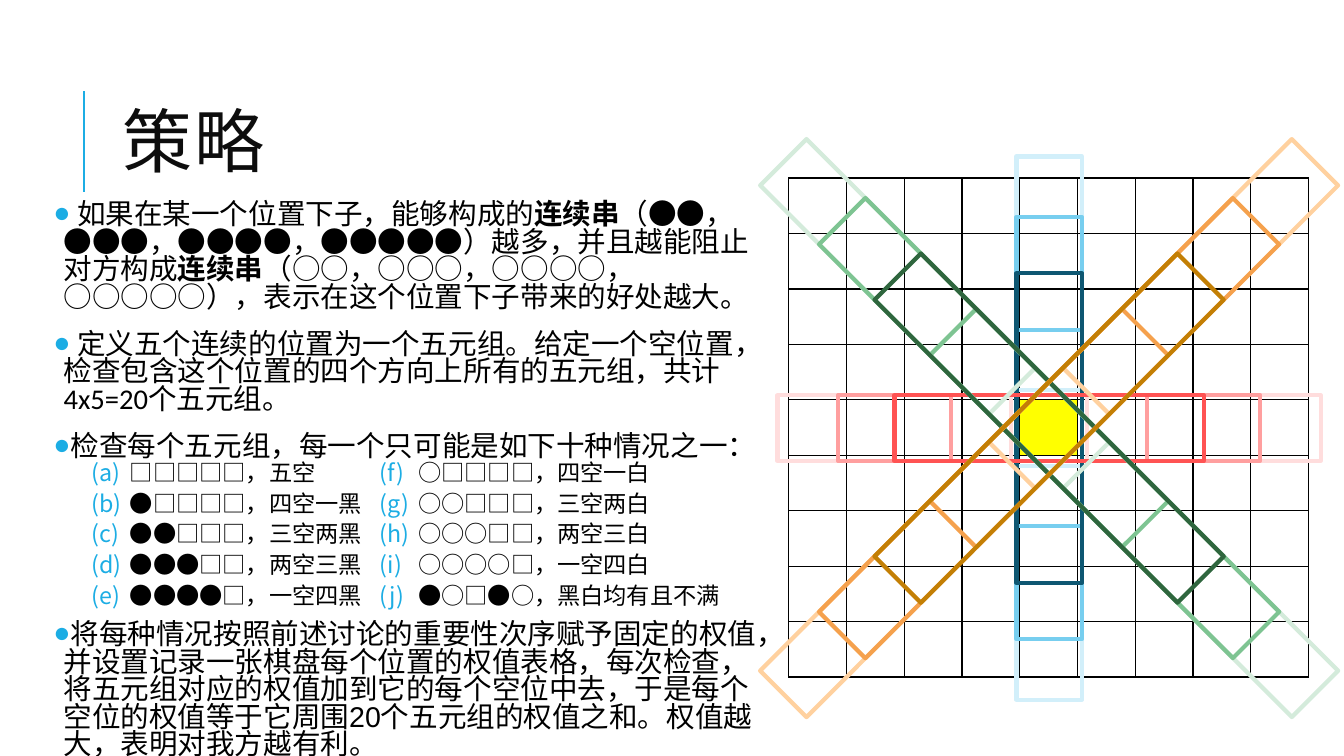
from dataclasses import dataclass

from lxml.etree import SubElement
from pptx import Presentation
from pptx.dml.color import RGBColor
from pptx.enum.lang import MSO_LANGUAGE_ID
from pptx.enum.shapes import MSO_CONNECTOR, MSO_SHAPE
from pptx.enum.text import MSO_ANCHOR, MSO_AUTO_SIZE, PP_ALIGN
from pptx.oxml.ns import qn
from pptx.util import Pt


@dataclass(frozen=True)
class Theme:
    """Colours, fonts and type sizes of the slide."""
    accent: str = "1CADE4"
    title: str = "0D0D0D"
    ink: str = "000000"
    target: str = "FFFF00"
    blues: tuple = ("D2EFFA", "77CEEF", "0E5772")
    reds: tuple = ("FFDDDD", "FF9F9F", "FF5353")
    greens: tuple = ("D4EBDB", "7EC492", "2F663E")
    oranges: tuple = ("FFD19F", "F5A14D", "C37F05")
    latin: str = "Calibri"
    plain: str = "Arial"
    stones: str = "Noto Sans CJK SC"
    title_size: float = 50
    body_size: float = 20.4
    case_size: float = 16.6


THEME = Theme()
BOARD_SIZE = 9
BOARD_CENTER = (749.4, 305.8)
BAND_WIDTH = 46.8

POINTS = [
    [(" 如果在某一个位置下子，能够构成的", ""), ("连续串", "bold"), ("（", ""),
     ("●●，●●●，●●●●，●●●●●", "stones"), ("）越多，并且越能阻止对方构成", ""),
     ("连续串", "bold"), ("（", ""), ("○○，○○○，○○○○，○○○○○）", "stones"),
     ("，表示在这个位置下子带来的好处越大。", "")],
    [(" 定义五个连续的位置为一个五元组。给定一个空位置，检查包含这个位置的四个方向上"
      "所有的五元组，共计4x5=20个五元组。", "")],
    [("检查每个五元组，每一个只可能是如下十种情况之一：", "")],
]
CONCLUSION = [
    ("将每种情况按照前述讨论的重要性次序赋予固定的权值，并设置记录一张棋盘每个位置的"
     "权值表格，每次检查，将五元组对应的权值加到它的每个空位中去，于是每个空位的权值"
     "等于它周围20个五元组的权值之和。权值越大，表明对我方越有利。", "")]
BLACK_CASES = ["□□□□□，五空", "●□□□□，四空一黑", "●●□□□，三空两黑",
               "●●●□□，两空三黑", "●●●●□，一空四黑"]
WHITE_CASES = ["○□□□□，四空一白", "○○□□□，三空两白", "○○○□□，两空三白",
               "○○○○□，一空四白", "●○□●○，黑白均有且不满"]


def color(value):
    """Turn a hex string into a colour."""
    return RGBColor.from_string(value)


def set_font(para, name, size, ink, chinese=THEME.latin):
    """Set the paragraph's font for Latin and Chinese text."""
    font = para.font
    font.name, font.size, font.color.rgb = name, Pt(size), color(ink)
    font.language_id = MSO_LANGUAGE_ID.SIMPLIFIED_CHINESE
    defaults = para._p.pPr.find(qn("a:defRPr"))
    SubElement(defaults, qn("a:ea"), typeface=chinese)


def set_spacing(para, before, after, line=0.8):
    """Set tight lines and the gaps around a paragraph."""
    para.alignment = PP_ALIGN.LEFT
    para.line_spacing = line
    para.space_before, para.space_after = Pt(before), Pt(after)


def set_bullet(para, margin, hanging, font, kind, **marker):
    """Give a paragraph a hanging accent-coloured marker."""
    properties = para._p.get_or_add_pPr()
    properties.set("marL", str(Pt(margin)))
    properties.set("indent", str(-Pt(hanging)))
    tint = SubElement(properties, qn("a:buClr"))
    SubElement(tint, qn("a:srgbClr"), val=THEME.accent)
    SubElement(properties, qn("a:buFont"), typeface=font)
    SubElement(properties, qn(kind), **marker)


def prepare_frame(shape, anchor, inset_x, inset_y):
    """Fix wrapping, anchor and insets of a text frame."""
    frame = shape.text_frame
    frame.word_wrap, frame.auto_size = True, MSO_AUTO_SIZE.NONE
    frame.vertical_anchor = anchor
    frame.margin_left = frame.margin_right = Pt(inset_x)
    frame.margin_top = frame.margin_bottom = Pt(inset_y)
    return frame


def place(shape, left, top, width, height):
    """Move and size a shape in points."""
    shape.left, shape.top = Pt(left), Pt(top)
    shape.width, shape.height = Pt(width), Pt(height)


def add_title(slide, text):
    """Fill the title and draw the rule beside it."""
    rule = slide.shapes.add_connector(
        MSO_CONNECTOR.STRAIGHT, Pt(60), Pt(136.8), Pt(60), Pt(64.8))
    rule.line.color.rgb, rule.line.width = color(THEME.accent), Pt(1.5)
    SubElement(rule._element.spPr, qn("a:effectLst"))
    title = slide.shapes.title
    place(title, 80.6, 46.1, 765.4, 118.1)
    para = prepare_frame(title, MSO_ANCHOR.MIDDLE, 7.2, 3.6).paragraphs[0]
    set_spacing(para, 0, 0)
    set_font(para, THEME.latin, THEME.title_size, THEME.title)
    span = para.add_run()
    span.text = text
    span._r.get_or_add_rPr().set("spc", "100")


def add_point(para, spans, before, name, line=0.8):
    """Write one bulleted paragraph from styled spans."""
    set_spacing(para, before, 2, line)
    set_bullet(para, 7.2, 7.2, THEME.plain, "a:buChar", char="●")
    set_font(para, name, THEME.body_size, THEME.ink)
    for text, style in spans:
        span = para.add_run()
        span.text = text
        if style == "bold":
            span.font.bold = True
        elif style == "stones":
            span.font.name = THEME.stones
            SubElement(span._r.get_or_add_rPr(), qn("a:ea"), typeface=THEME.stones)


def add_body(slide):
    """Write the main points, leaving room for the list of cases."""
    body = slide.placeholders[1]
    place(body, 34.6, 141.1, 510, 422.6)
    frame = prepare_frame(body, MSO_ANCHOR.TOP, 3.6, 3.6)
    for index, spans in enumerate(POINTS):
        para = frame.add_paragraph() if index else frame.paragraphs[0]
        add_point(para, spans, 12, THEME.latin, 0.8 if index else Pt(19.7))
    add_point(frame.add_paragraph(), CONCLUSION, 113, THEME.plain)


def add_cases(slide, left, cases, start):
    """Add one lettered column of cases."""
    box = slide.shapes.add_textbox(Pt(left), Pt(327.6), Pt(280), Pt(119.5))
    frame = prepare_frame(box, MSO_ANCHOR.TOP, 3.6, 3.6)
    for index, text in enumerate(cases):
        para = frame.add_paragraph() if index else frame.paragraphs[0]
        para.level = 1
        set_spacing(para, 2, 4, Pt(16))
        set_bullet(para, 37.4, 27.4, THEME.stones, "a:buAutoNum",
                   type="alphaLcParenBoth", startAt=str(start))
        set_font(para, THEME.stones, THEME.case_size, THEME.ink, THEME.stones)
        para.add_run().text = text


def add_border(cell):
    """Draw a thin line on all four sides of a cell."""
    properties = cell._tc.get_or_add_tcPr()
    for index, side in enumerate(("a:lnL", "a:lnR", "a:lnT", "a:lnB")):
        line = properties.makeelement(qn(side), {"w": str(Pt(1))})
        fill = SubElement(line, qn("a:solidFill"))
        SubElement(fill, qn("a:srgbClr"), val=THEME.ink)
        properties.insert(index, line)


def add_board(slide):
    """Add the square grid with its centre cell marked."""
    table = slide.shapes.add_table(
        BOARD_SIZE, BOARD_SIZE, Pt(563.3), Pt(127.2), Pt(371.5), Pt(356.4)).table
    table.first_row = table.horz_banding = False
    for cell in table.iter_cells():
        cell.fill.background()
        add_border(cell)
    middle = table.cell(BOARD_SIZE // 2, BOARD_SIZE // 2)
    middle.fill.solid()
    middle.fill.fore_color.rgb = color(THEME.target)


def add_bands(slide, tints, length, rotation, direction, steps):
    """Add five overlapping bands shifted along one direction."""
    group = slide.shapes.add_group_shape()
    outer, inner = steps
    shifts = (-outer, outer, -inner, inner, 0)
    for shift, tint in zip(shifts, (tints[0],) * 2 + (tints[1],) * 2 + (tints[2],)):
        center_x = BOARD_CENTER[0] + shift * direction[0]
        center_y = BOARD_CENTER[1] + shift * direction[1]
        band = group.shapes.add_shape(
            MSO_SHAPE.RECTANGLE, Pt(center_x - length / 2),
            Pt(center_y - BAND_WIDTH / 2), Pt(length), Pt(BAND_WIDTH))
        band.rotation = rotation
        band.shadow.inherit = False
        band.fill.background()
        band.line.color.rgb, band.line.width = color(tint), Pt(3)


def main():
    """Build the strategy slide and save it."""
    deck = Presentation()
    deck.slide_width, deck.slide_height = Pt(960), Pt(540)
    page = deck.slides.add_slide(deck.slide_layouts[1])
    add_title(page, "策略")
    add_body(page)
    add_board(page)
    straight, diagonal = (83.5, 40.3), (81.7, 39.6)
    add_bands(page, THEME.blues, 221, 90, (0, 1), straight)
    add_bands(page, THEME.reds, 221, 0, (1, 0), straight)
    add_bands(page, THEME.greens, 306, 45, (1, 1), diagonal)
    add_bands(page, THEME.oranges, 306, 315, (1, -1), diagonal)
    add_cases(page, 257.8, WHITE_CASES, 6)
    add_cases(page, 51.8, BLACK_CASES, 1)
    deck.save("out.pptx")


if __name__ == "__main__":
    main()
